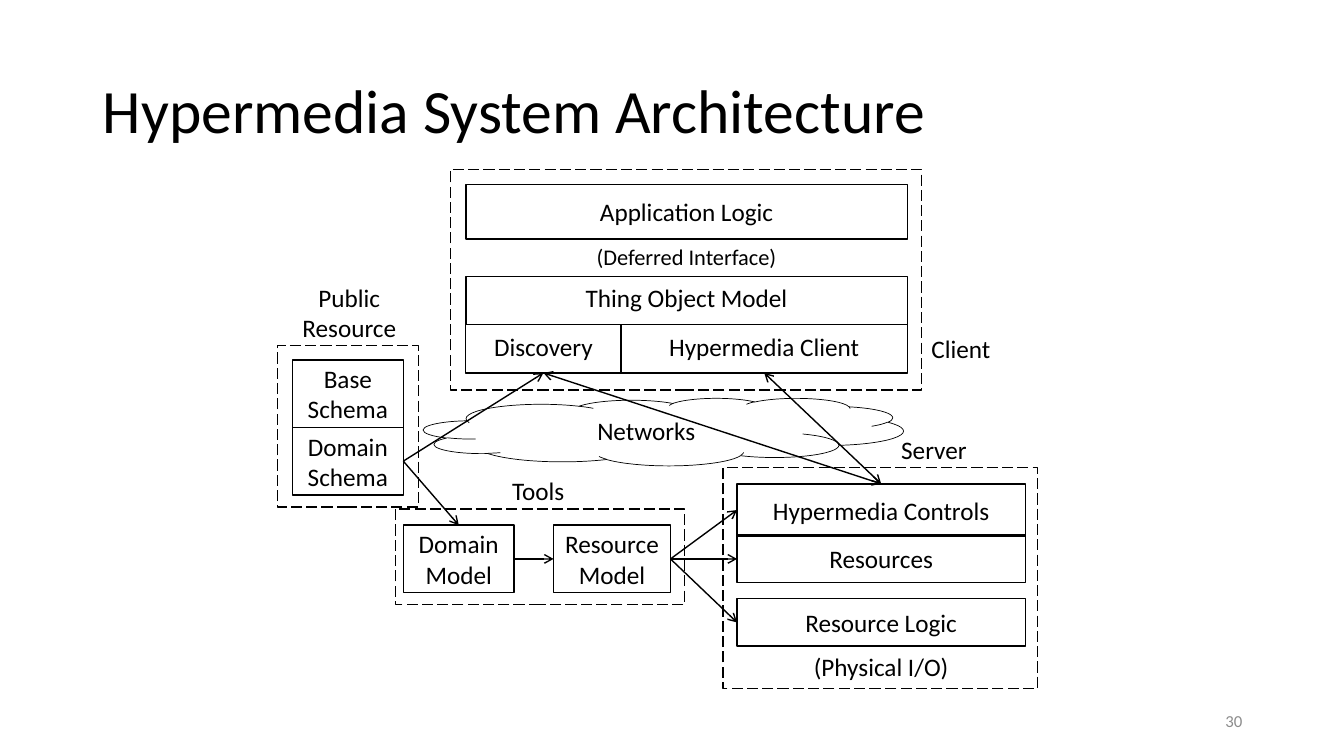
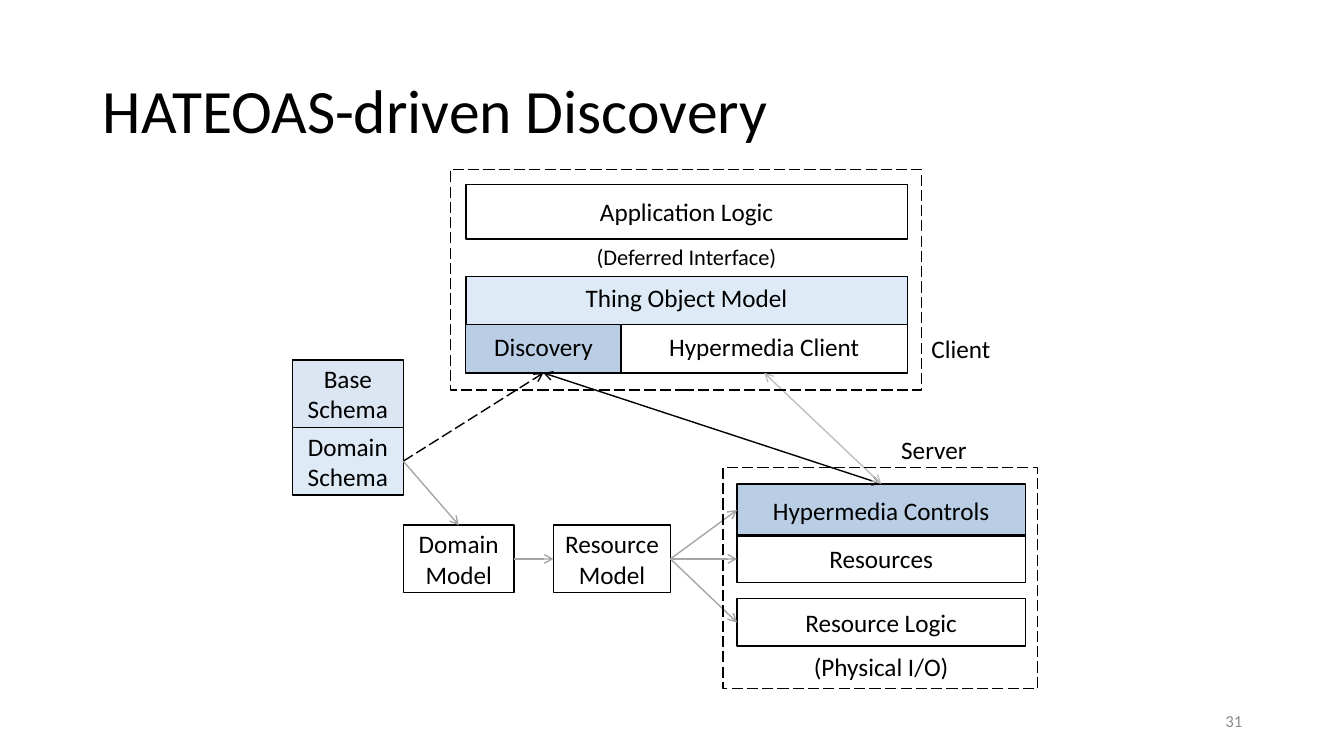
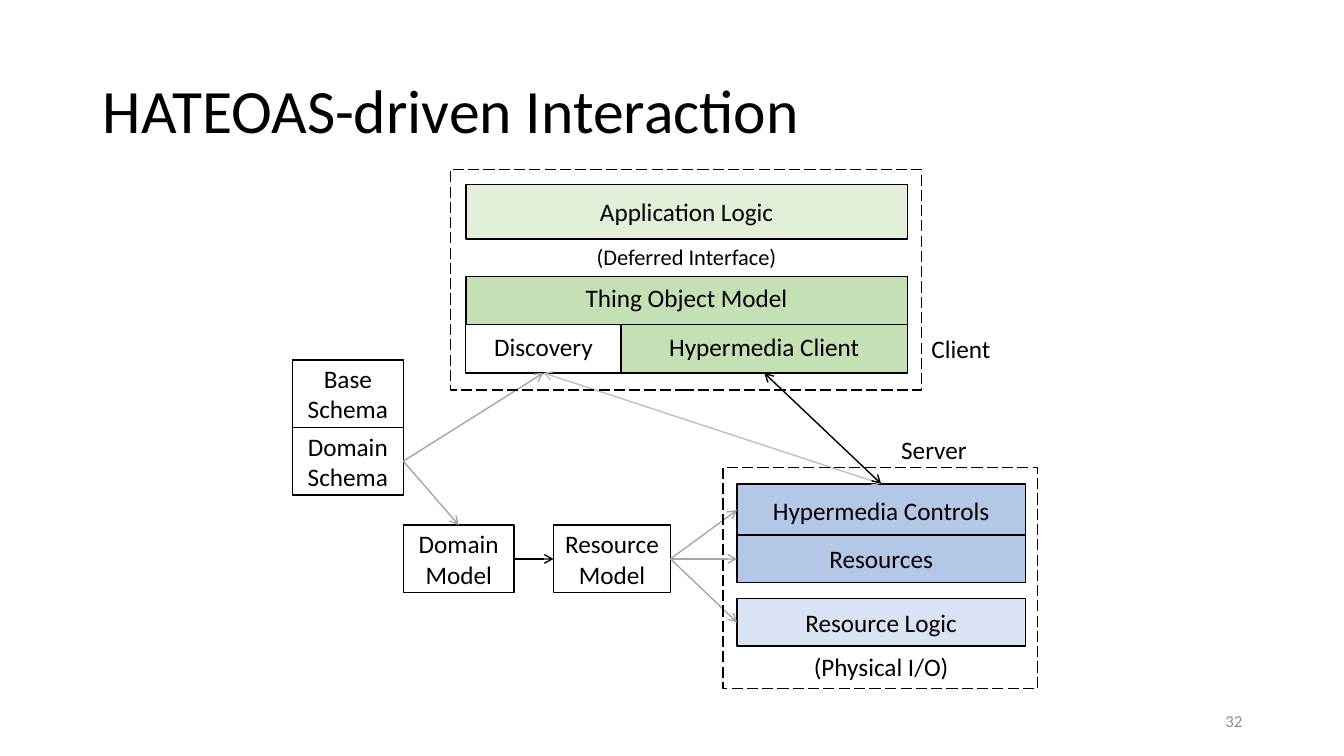
from dataclasses import dataclass, field
from typing import NamedTuple

from pptx import Presentation
from pptx.dml.color import RGBColor
from pptx.enum.dml import MSO_LINE
from pptx.enum.shapes import MSO_CONNECTOR, MSO_SHAPE
from pptx.enum.text import MSO_ANCHOR, MSO_AUTO_SIZE, PP_ALIGN
from pptx.oxml.ns import qn
from pptx.oxml.xmlchemy import OxmlElement
from pptx.shapes.autoshape import Shape
from pptx.slide import Slide
from pptx.text.text import TextFrame
from pptx.util import Emu, Pt

EMU_PER_PX = 9144  # 100 px to the inch
TITLE_ONLY = 5
RECTANGLE, CLOUD = MSO_SHAPE.RECTANGLE, MSO_SHAPE.CLOUD
STRAIGHT, LONG_DASH = MSO_CONNECTOR.STRAIGHT, MSO_LINE.LONG_DASH
LEFT, CENTER, RIGHT = PP_ALIGN.LEFT, PP_ALIGN.CENTER, PP_ALIGN.RIGHT
TOP, MIDDLE = MSO_ANCHOR.TOP, MSO_ANCHOR.MIDDLE
NO_AUTOFIT, GROW = MSO_AUTO_SIZE.NONE, MSO_AUTO_SIZE.SHAPE_TO_FIT_TEXT
SIDE_TOP, SIDE_LEFT, SIDE_BOTTOM, SIDE_RIGHT = range(4)


@dataclass(frozen=True)
class Theme:
    font: str = "Calibri"
    title_size: int = 44
    body_size: int = 18
    caption_size: int = 16
    number_size: int = 12
    line_width: float = 1
    cloud_line_width: float = 0.5
    ink: str = "000000"
    number: str = "8C8C8C"
    idle_one_way: str = "A6A6A6"
    idle_two_way: str = "BFBFBF"
    white: str = "FFFFFF"
    blue: str = "B9CDE5"
    pale_blue: str = "DCE6F2"
    sky: str = "DEEBF7"
    green: str = "C5E0B4"
    pale_green: str = "E2F0D9"
    indigo: str = "B4C7E7"
    pale_indigo: str = "DAE3F3"


THEME = Theme()


class Box(NamedTuple):
    left: int
    top: int
    width: int
    height: int

    def emu(self) -> list[Emu]:
        return [Emu(length * EMU_PER_PX) for length in self]


class Block(NamedTuple):
    name: str
    box: Box
    margin_top: int = 5


class Label(NamedTuple):
    text: str
    box: Box
    size: int = THEME.body_size
    align: PP_ALIGN = LEFT
    wrap: bool = False


class Frame(NamedTuple):
    box: Box
    label: Label


class Link(NamedTuple):
    start: str
    start_side: int
    end: str
    end_side: int
    two_way: bool = False


@dataclass(frozen=True)
class Scene:
    title: str
    number: int
    frames: tuple[Frame, ...]
    active: frozenset[Link]
    dashed: frozenset[Link] = frozenset()
    fills: dict[str, str] = field(default_factory=dict)
    has_network: bool = False


SLIDE_WIDTH, SLIDE_HEIGHT = 1333, 750
TITLE_BOX = Box(92, 40, 1150, 145)
NUMBER_BOX = Box(942, 695, 300, 40)
NETWORK_BOX = Box(420, 395, 476, 67)

CLIENT_LEFT, CLIENT_WIDTH, DISCOVERY_WIDTH = 462, 438, 154
OBJECT_MODEL_TOP, CLIENT_ROW = 274, 48
SERVER_LEFT, SERVER_WIDTH = 731, 286
SCHEMA_LEFT, SCHEMA_TOP = 290, 357
SMALL_WIDTH, SMALL_HEIGHT = 110, 67
MODEL_TOP = 521

BLOCKS = (
    Block("Base Schema", Box(SCHEMA_LEFT, SCHEMA_TOP, SMALL_WIDTH, SMALL_HEIGHT)),
    Block("Domain Schema", Box(SCHEMA_LEFT, SCHEMA_TOP + SMALL_HEIGHT, SMALL_WIDTH, SMALL_HEIGHT)),
    Block("Domain Model", Box(SCHEMA_LEFT + SMALL_WIDTH, MODEL_TOP, SMALL_WIDTH, SMALL_HEIGHT)),
    Block("Resource Model", Box(549, MODEL_TOP, 116, SMALL_HEIGHT)),
    Block("Application Logic", Box(CLIENT_LEFT, 183, CLIENT_WIDTH, 54)),
    Block("Thing Object Model", Box(CLIENT_LEFT, OBJECT_MODEL_TOP, CLIENT_WIDTH, CLIENT_ROW), 0),
    Block("Discovery",
          Box(CLIENT_LEFT, OBJECT_MODEL_TOP + CLIENT_ROW, DISCOVERY_WIDTH, CLIENT_ROW), 0),
    Block("Hypermedia Client",
          Box(CLIENT_LEFT + DISCOVERY_WIDTH, OBJECT_MODEL_TOP + CLIENT_ROW,
              CLIENT_WIDTH - DISCOVERY_WIDTH, CLIENT_ROW), 0),
    Block("Hypermedia Controls", Box(SERVER_LEFT, 480, SERVER_WIDTH, 52)),
    Block("Resources", Box(SERVER_LEFT, 531, SERVER_WIDTH, 47)),
    Block("Resource Logic", Box(SERVER_LEFT, 594, SERVER_WIDTH, 47)),
)

CAPTIONS = (
    Label("(Deferred Interface)", Box(551, 236, 260, 37), THEME.caption_size, CENTER, True),
    Label("(Physical I/O)", Box(796, 641, 156, 40), align=CENTER),
)

CLIENT_FRAME = Frame(Box(447, 168, 467, 219), Label("Client", Box(914, 326, 80, 40)))
SERVER_FRAME = Frame(Box(717, 464, 312, 219), Label("Server", Box(884, 426, 86, 40)))
PUBLIC_FRAME = Frame(
    Box(275, 343, 140, 160),
    Label("Public Resource", Box(288, 275, 117, 71), align=CENTER, wrap=True),
)
TOOLS_FRAME = Frame(Box(392, 505, 287, 95), Label("Tools", Box(498, 467, 75, 40)))

SCHEMA_TO_DISCOVERY = Link("Domain Schema", SIDE_RIGHT, "Discovery", SIDE_BOTTOM)
SCHEMA_TO_MODEL = Link("Domain Schema", SIDE_RIGHT, "Domain Model", SIDE_TOP)
DISCOVERY_TO_CONTROLS = Link("Discovery", SIDE_BOTTOM, "Hypermedia Controls", SIDE_TOP, True)
MODEL_TO_MODEL = Link("Domain Model", SIDE_RIGHT, "Resource Model", SIDE_LEFT)
CLIENT_TO_CONTROLS = Link("Hypermedia Client", SIDE_BOTTOM, "Hypermedia Controls", SIDE_TOP, True)
MODEL_TO_SERVER = tuple(
    Link("Resource Model", SIDE_RIGHT, target, SIDE_LEFT)
    for target in ("Resources", "Hypermedia Controls", "Resource Logic")
)
LINKS = (SCHEMA_TO_DISCOVERY, SCHEMA_TO_MODEL, DISCOVERY_TO_CONTROLS, MODEL_TO_MODEL,
         CLIENT_TO_CONTROLS, *MODEL_TO_SERVER)

SCENES = (
    Scene(
        "Hypermedia System Architecture", 30,
        frames=(CLIENT_FRAME, SERVER_FRAME, PUBLIC_FRAME, TOOLS_FRAME),
        active=frozenset(LINKS),
        has_network=True,
    ),
    Scene(
        "HATEOAS-driven Discovery", 31,
        frames=(CLIENT_FRAME, SERVER_FRAME),
        active=frozenset({SCHEMA_TO_DISCOVERY, DISCOVERY_TO_CONTROLS}),
        dashed=frozenset({SCHEMA_TO_DISCOVERY}),
        fills={
            "Base Schema": THEME.pale_blue,
            "Domain Schema": THEME.sky,
            "Thing Object Model": THEME.sky,
            "Discovery": THEME.blue,
            "Hypermedia Controls": THEME.blue,
            "Hypermedia Client": THEME.white,
        },
    ),
    Scene(
        "HATEOAS-driven Interaction", 32,
        frames=(CLIENT_FRAME, SERVER_FRAME),
        active=frozenset({MODEL_TO_MODEL, CLIENT_TO_CONTROLS}),
        fills={
            "Domain Schema": THEME.white,
            "Application Logic": THEME.pale_green,
            "Thing Object Model": THEME.green,
            "Hypermedia Client": THEME.green,
            "Hypermedia Controls": THEME.indigo,
            "Resources": THEME.indigo,
            "Resource Logic": THEME.pale_indigo,
        },
    ),
)


def write_text(
    text_frame: TextFrame,
    text: str,
    *,
    size: int = THEME.body_size,
    color: str = THEME.ink,
    align: PP_ALIGN = CENTER,
    anchor: MSO_ANCHOR = MIDDLE,
    wrap: bool = True,
    auto_size: MSO_AUTO_SIZE = NO_AUTOFIT,
    line_spacing: float = 1.0,
) -> None:
    text_frame.word_wrap = wrap
    text_frame.auto_size = auto_size
    text_frame.vertical_anchor = anchor
    paragraph = text_frame.paragraphs[0]
    paragraph.alignment = align
    paragraph.line_spacing = line_spacing
    run = paragraph.add_run()
    run.text = text
    run.font.name = THEME.font
    run.font.size = Pt(size)
    run.font.color.rgb = RGBColor.from_string(color)


def add_outline(
    slide: Slide,
    box: Box,
    *,
    preset: MSO_SHAPE = RECTANGLE,
    fill: str | None = None,
    width: float = THEME.line_width,
    dash: MSO_LINE | None = None,
) -> Shape:
    shape = slide.shapes.add_shape(preset, *box.emu())
    shape.shadow.inherit = False
    if fill:
        shape.fill.solid()
        shape.fill.fore_color.rgb = RGBColor.from_string(fill)
    else:
        shape.fill.background()
    shape.line.color.rgb = RGBColor.from_string(THEME.ink)
    shape.line.width = Pt(width)
    shape.line.dash_style = dash
    return shape


def add_block(slide: Slide, block: Block, fill: str | None) -> Shape:
    shape = add_outline(slide, block.box, fill=fill)
    shape.text_frame.margin_top = Emu(block.margin_top * EMU_PER_PX)
    write_text(shape.text_frame, block.name)
    return shape


def add_label(slide: Slide, label: Label) -> None:
    text_box = slide.shapes.add_textbox(*label.box.emu())
    write_text(text_box.text_frame, label.text, size=label.size, align=label.align,
               anchor=TOP, wrap=label.wrap, auto_size=GROW)


def add_link(slide: Slide, link: Link, shapes: dict[str, Shape], scene: Scene) -> None:
    """Join two blocks with an arrow, greyed unless the scene makes it active."""
    connector = slide.shapes.add_connector(STRAIGHT, 0, 0, 0, 0)
    connector.begin_connect(shapes[link.start], link.start_side)
    connector.end_connect(shapes[link.end], link.end_side)
    idle = THEME.idle_two_way if link.two_way else THEME.idle_one_way
    color = THEME.ink if link in scene.active else idle
    connector.line.color.rgb = RGBColor.from_string(color)
    connector.line.width = Pt(THEME.line_width)
    if link in scene.dashed:
        connector.line.dash_style = LONG_DASH
    properties = connector.element.spPr
    for end in ("a:headEnd", "a:tailEnd") if link.two_way else ("a:tailEnd",):
        arrowhead = OxmlElement(end)
        arrowhead.set("type", "arrow")
        properties.find(qn("a:ln")).append(arrowhead)
    properties.append(OxmlElement("a:effectLst"))


def add_title_and_number(slide: Slide, scene: Scene) -> None:
    title = slide.shapes.title
    title.left, title.top, title.width, title.height = TITLE_BOX.emu()
    write_text(title.text_frame, scene.title, size=THEME.title_size, align=LEFT, line_spacing=0.9)
    number = slide.shapes.add_textbox(*NUMBER_BOX.emu())
    write_text(number.text_frame, str(scene.number), size=THEME.number_size,
               color=THEME.number, align=RIGHT)


def build_slide(presentation: Presentation, scene: Scene) -> None:
    slide = presentation.slides.add_slide(presentation.slide_layouts[TITLE_ONLY])
    add_title_and_number(slide, scene)
    shapes = {
        block.name: add_block(slide, block, scene.fills.get(block.name)) for block in BLOCKS
    }
    for link in LINKS:
        add_link(slide, link, shapes, scene)
    for caption in CAPTIONS:
        add_label(slide, caption)
    if scene.has_network:
        cloud = add_outline(slide, NETWORK_BOX, preset=CLOUD, width=THEME.cloud_line_width)
        write_text(cloud.text_frame, "Networks")
    for frame in scene.frames:
        add_outline(slide, frame.box, dash=LONG_DASH)
        add_label(slide, frame.label)


def main() -> None:
    presentation = Presentation()
    presentation.slide_width = Emu(SLIDE_WIDTH * EMU_PER_PX)
    presentation.slide_height = Emu(SLIDE_HEIGHT * EMU_PER_PX)
    for scene in SCENES:
        build_slide(presentation, scene)
    presentation.save("out.pptx")


if __name__ == "__main__":
    main()
